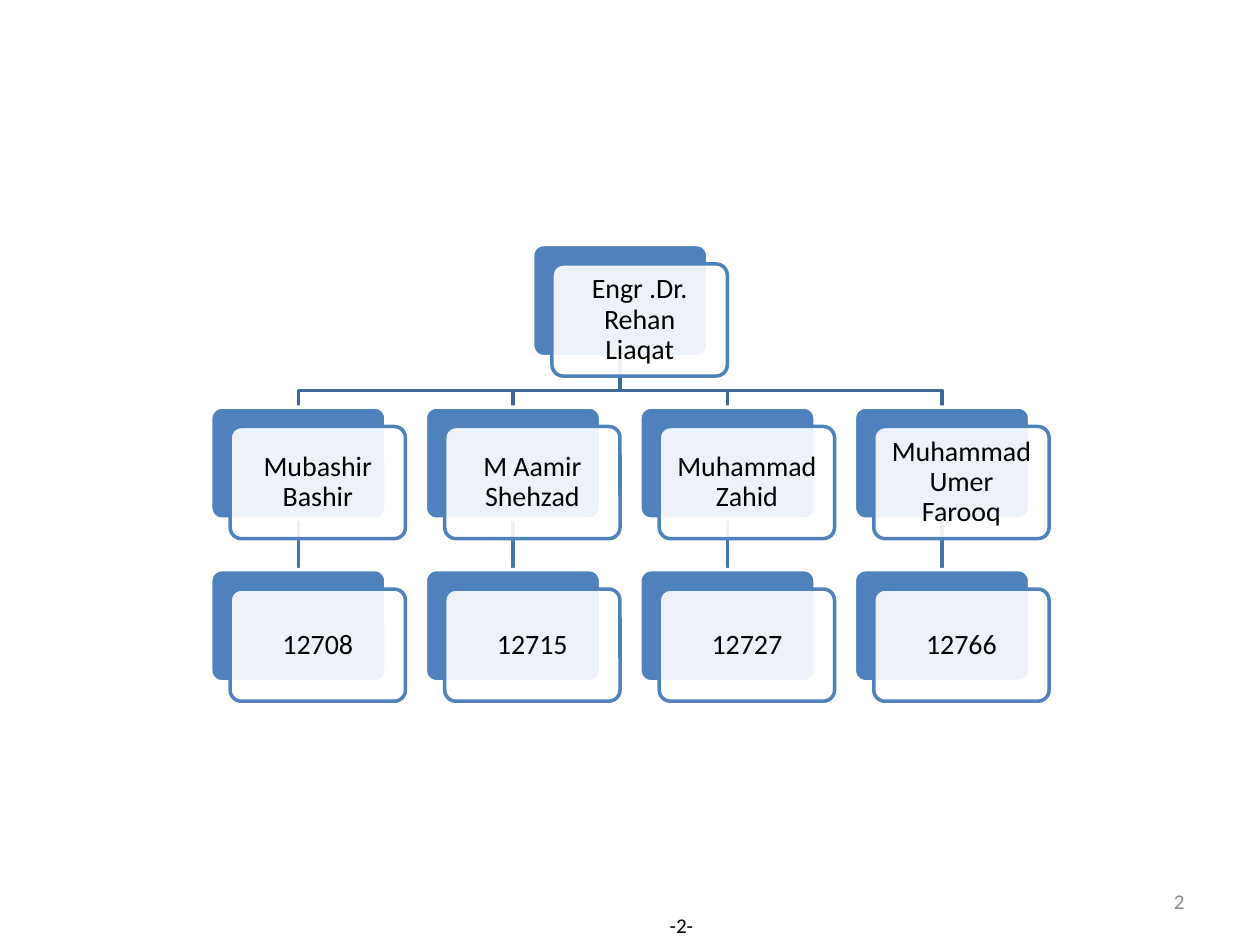
from dataclasses import dataclass

from lxml.etree import SubElement
from pptx import Presentation
from pptx.dml.color import RGBColor
from pptx.enum.shapes import MSO_CONNECTOR, MSO_SHAPE
from pptx.enum.text import MSO_ANCHOR, PP_ALIGN
from pptx.oxml.ns import qn
from pptx.util import Pt


@dataclass(frozen=True)
class Theme:
    font: str = "Calibri"
    name_size: float = 16
    footer_size: float = 12
    line_width: float = 2
    blue: RGBColor = RGBColor(0x4F, 0x81, 0xBD)
    branch: RGBColor = RGBColor(0x3F, 0x67, 0x97)
    stem: RGBColor = RGBColor(0x48, 0x75, 0xAC)
    white: RGBColor = RGBColor(0xFF, 0xFF, 0xFF)
    black: RGBColor = RGBColor(0, 0, 0)
    grey: RGBColor = RGBColor(0x8C, 0x8C, 0x8C)


THEME = Theme()
CARD_WIDTH, CARD_HEIGHT = 100.2, 64.1
CARD_OFFSET = 11.1
CHART_LEFT, CHART_TOP = 120.4, 139.7
COLUMN_STEP, ROW_STEP = 122.6, 92.9
BRANCH_DROP = 19.4

SUPERVISOR = "Engr .Dr. Rehan Liaqat"
MEMBERS = [
    ("Mubashir Bashir", "12708"),
    ("M Aamir Shehzad", "12715"),
    ("Muhammad Zahid", "12727"),
    ("Muhammad Umer Farooq", "12766"),
]


def write_text(shape, text, size, color, alignment):
    frame = shape.text_frame
    frame.text = text
    frame.vertical_anchor = MSO_ANCHOR.MIDDLE
    paragraph = frame.paragraphs[0]
    paragraph.alignment = alignment
    font = paragraph.runs[0].font
    font.name, font.size, font.color.rgb = THEME.font, Pt(size), color


def style_line(shape, color):
    shape.line.color.rgb = color
    shape.line.width = Pt(THEME.line_width)


def send_to_back(shape):
    shape.element.getparent().insert(2, shape.element)


def add_panel(slide, left, top, fill, outline):
    panel = slide.shapes.add_shape(
        MSO_SHAPE.ROUNDED_RECTANGLE, Pt(left), Pt(top), Pt(CARD_WIDTH), Pt(CARD_HEIGHT))
    panel.adjustments[0] = 0.1
    panel.shadow.inherit = False
    panel.fill.solid()
    panel.fill.fore_color.rgb = fill
    style_line(panel, outline)
    return panel


def add_card(slide, column, row, text):
    """Draw a blue panel with a translucent label over it; return the blue panel."""
    left = CHART_LEFT + column * COLUMN_STEP
    top = CHART_TOP + row * ROW_STEP
    back = add_panel(slide, left, top, THEME.blue, THEME.white)
    label = add_panel(slide, left + CARD_OFFSET, top + CARD_OFFSET, THEME.white, THEME.blue)
    fill_color = label.fill._xPr.find(qn("a:solidFill"))[0]
    SubElement(fill_color, qn("a:alpha"), val="90000")
    frame = label.text_frame
    frame.word_wrap = True
    frame.margin_left = frame.margin_right = Pt(6.5)
    write_text(label, text, THEME.name_size, THEME.black, PP_ALIGN.CENTER)
    frame.paragraphs[0].line_spacing = 0.9
    return back


def add_branch(slide, parent, child):
    """Draw the bent line from the parent's bottom to the child's top."""
    start_x = parent.left + parent.width // 2
    start_y = parent.top + parent.height
    end_x = child.left + child.width // 2
    bend_y = start_y + Pt(BRANCH_DROP)
    builder = slide.shapes.build_freeform(start_x, start_y)
    builder.add_line_segments(
        [(start_x, bend_y), (end_x, bend_y), (end_x, child.top)], close=False)
    branch = builder.convert_to_shape()
    branch.fill.background()
    branch.shadow.inherit = False
    style_line(branch, THEME.branch)
    send_to_back(branch)


def add_stem(slide, parent, child):
    stem = slide.shapes.add_connector(MSO_CONNECTOR.STRAIGHT, 0, 0, 0, 0)
    stem.begin_connect(parent, 2)
    stem.end_connect(child, 0)
    style_line(stem, THEME.stem)
    SubElement(stem.element.spPr, qn("a:effectLst"))
    send_to_back(stem)


def add_footer(slide, left, top, width, height, text, color):
    box = slide.shapes.add_textbox(Pt(left), Pt(top), Pt(width), Pt(height))
    box.text_frame.word_wrap = False
    write_text(box, text, THEME.footer_size, color, PP_ALIGN.RIGHT)


def main():
    presentation = Presentation()
    presentation.slide_width, presentation.slide_height = Pt(720), Pt(540)
    slide = presentation.slides.add_slide(presentation.slide_layouts[6])

    supervisor = add_card(slide, (len(MEMBERS) - 1) / 2, 0, SUPERVISOR)
    for column, (name, number) in enumerate(MEMBERS):
        member = add_card(slide, column, 1, name)
        registration = add_card(slide, column, 2, number)
        add_branch(slide, supervisor, member)
        add_stem(slide, member, registration)

    add_footer(slide, 516, 500.5, 168, 28.8, "2", THEME.grey)
    add_footer(slide, 374.4, 519.2, 28.8, 19.4, "-2-", THEME.black)
    presentation.save("out.pptx")


if __name__ == "__main__":
    main()
